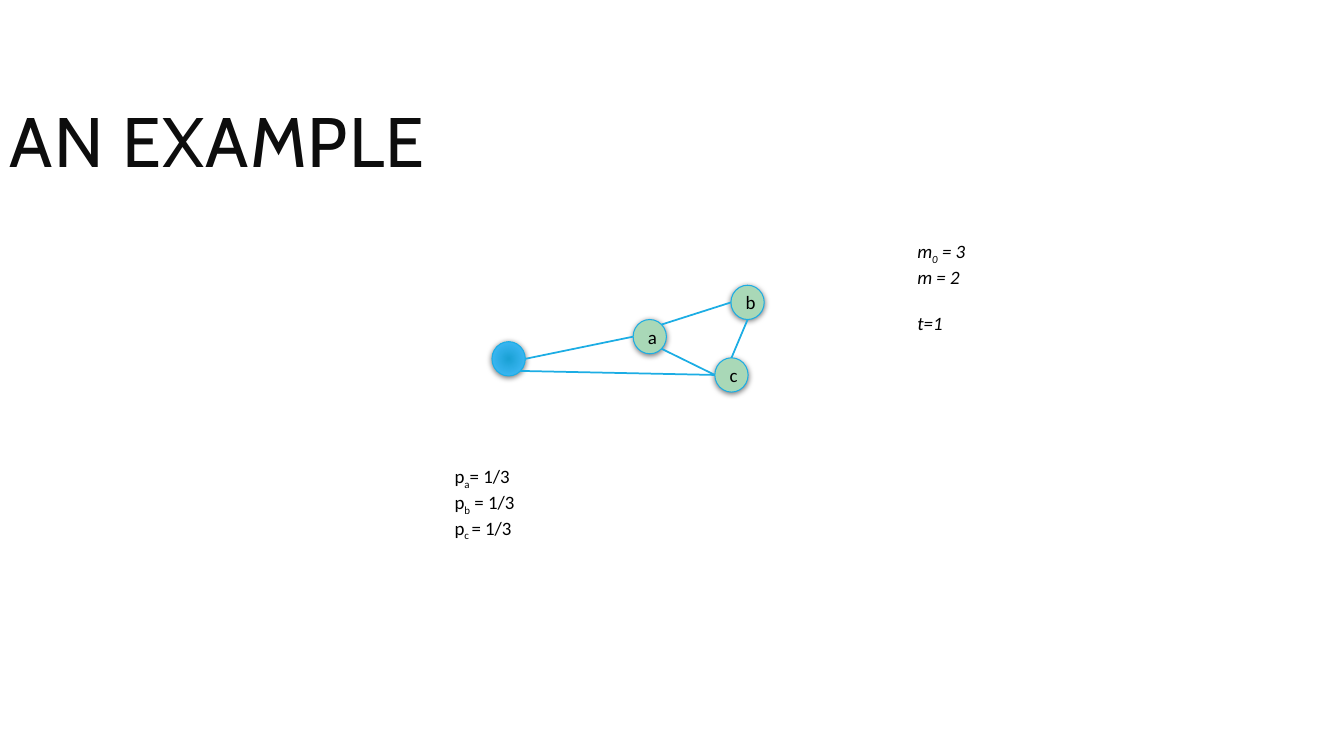
import math

import pptx
import pptx.dml.color
import pptx.enum.shapes
import pptx.enum.text
import pptx.oxml
import pptx.util
from pptx.util import Inches

# Content
TITLE = "AN EXAMPLE"
NODE_SIZE = (0.33, 0.34)
NODES = {  # name: (left, top, label)
    "a": (6.28, 3.17, "a"),
    "c": (7.09, 3.55, "c"),
    "b": (7.25, 2.83, "b"),
    "new": (4.88, 3.39, ""),
}
RIGHT, LOWER_RIGHT, BOTTOM, LEFT, TOP, UPPER_RIGHT = 0, 45, 90, 180, 270, 315
EDGES = [  # node, angle on its rim, node, angle on its rim
    ("a", UPPER_RIGHT, "b", LEFT),
    ("a", LOWER_RIGHT, "c", LEFT),
    ("b", BOTTOM, "c", TOP),
    ("new", RIGHT, "a", LEFT),
    ("new", LOWER_RIGHT, "c", LEFT),
]
# Each line holds (base, subscript, rest)
STATE = [("m", "0", " = 3"), ("m = 2", "", ""), ("t=1", "", "")]
ODDS = [("p", "a", "= 1/3"), ("p", "b", " = 1/3"), ("p", "c ", "= 1/3")]
BLUE, GREEN, BLACK, INK = "1CADE4", "A9D8B7", "000000", "0D0D0D"

A_NS = 'xmlns:a="http://schemas.openxmlformats.org/drawingml/2006/main"'
SHADOW = f"""<a:effectLst {A_NS}><a:outerShdw blurRad="50800" dist="12700" dir="5400000"
  rotWithShape="0"><a:srgbClr val="000000"><a:alpha val="50000"/></a:srgbClr>
  </a:outerShdw></a:effectLst>"""
GRADIENT = f"""<a:gradFill {A_NS} rotWithShape="1"><a:gsLst>
  <a:gs pos="0"><a:srgbClr val="1AA1D4"/></a:gs>
  <a:gs pos="100000"><a:srgbClr val="48BFFF"/></a:gs></a:gsLst>
  <a:path path="circle"><a:fillToRect l="100000" t="100000" r="100000" b="100000"/></a:path>
  </a:gradFill>"""

prs = pptx.Presentation()
prs.slide_width, prs.slide_height = Inches(13.33), Inches(7.5)
s = prs.slides.add_slide(prs.slide_layouts[6])


def rgb(value):
    return pptx.dml.color.RGBColor.from_string(value)


def add_run(p, text, size=13.5, font="Calibri", color=BLACK, italic=None,
            base=None, spacing=None):
    r = p.add_run()
    r.text = text
    r.font.size, r.font.name, r.font.italic = pptx.util.Pt(size), font, italic
    r.font.color.rgb = rgb(color)
    rpr = r.font._element
    if base:
        rpr.set("baseline", str(base * 1000))
    if spacing:
        rpr.set("spc", str(spacing * 100))


def add_box(left, top, width, height):
    tf = s.shapes.add_textbox(*map(Inches, (left, top, width, height))).text_frame
    tf.word_wrap = True
    return tf


def add_formulas(tf, lines, italic=None):
    for i, (base, subscript, rest) in enumerate(lines):
        p = tf.add_paragraph() if i else tf.paragraphs[0]
        add_run(p, base, italic=italic)
        if subscript:
            add_run(p, subscript, italic=italic, base=-25)
            add_run(p, rest, italic=italic)


def rim(name, angle):
    left, top, _ = NODES[name]
    width, height = NODE_SIZE
    turn = math.radians(angle)
    return (Inches(left + width / 2 * (1 + math.cos(turn))),
            Inches(top + height / 2 * (1 + math.sin(turn))))


# Title
tf = add_box(0, 0.64, 10.63, 1.64)
tf.vertical_anchor = pptx.enum.text.MSO_ANCHOR.MIDDLE
p = tf.paragraphs[0]
p.line_spacing = 0.8
add_run(p, TITLE, size=50, font="Cabin", color=INK, spacing=1)

# Graph nodes
for left, top, label in NODES.values():
    sp = s.shapes.add_shape(pptx.enum.shapes.MSO_SHAPE.OVAL,
                            *map(Inches, (left, top, *NODE_SIZE)))
    sp.fill.solid()
    sp.fill.fore_color.rgb = rgb(GREEN)
    sp.line.color.rgb, sp.line.width = rgb(BLUE), pptx.util.Pt(0.75)
    props = sp._element.spPr
    props.append(pptx.oxml.parse_xml(SHADOW))
    if label:
        tf = sp.text_frame
        tf.word_wrap = True
        tf.vertical_anchor = pptx.enum.text.MSO_ANCHOR.MIDDLE
        tf.paragraphs[0].alignment = pptx.enum.text.PP_ALIGN.CENTER
        add_run(tf.paragraphs[0], label)
    else:
        solid = props.find(pptx.oxml.ns.qn("a:solidFill"))
        props.replace(solid, pptx.oxml.parse_xml(GRADIENT))

# Graph edges
for start, start_angle, end, end_angle in EDGES:
    line = s.shapes.add_connector(pptx.enum.shapes.MSO_CONNECTOR.STRAIGHT,
                                  *rim(start, start_angle), *rim(end, end_angle))
    line.line.color.rgb, line.line.width = rgb(BLUE), pptx.util.Pt(1.25)
    line._element.spPr.append(pptx.oxml.parse_xml(f"<a:effectLst {A_NS}/>"))

# Network state and attachment probabilities
tf = add_box(9, 2.33, 1.62, 1.01)
add_formulas(tf, STATE, italic=True)
tf.paragraphs[-1].space_before = pptx.util.Pt(16.5)
add_formulas(add_box(4.41, 4.56, 4.82, 0.78), ODDS)

prs.save("out.pptx")
